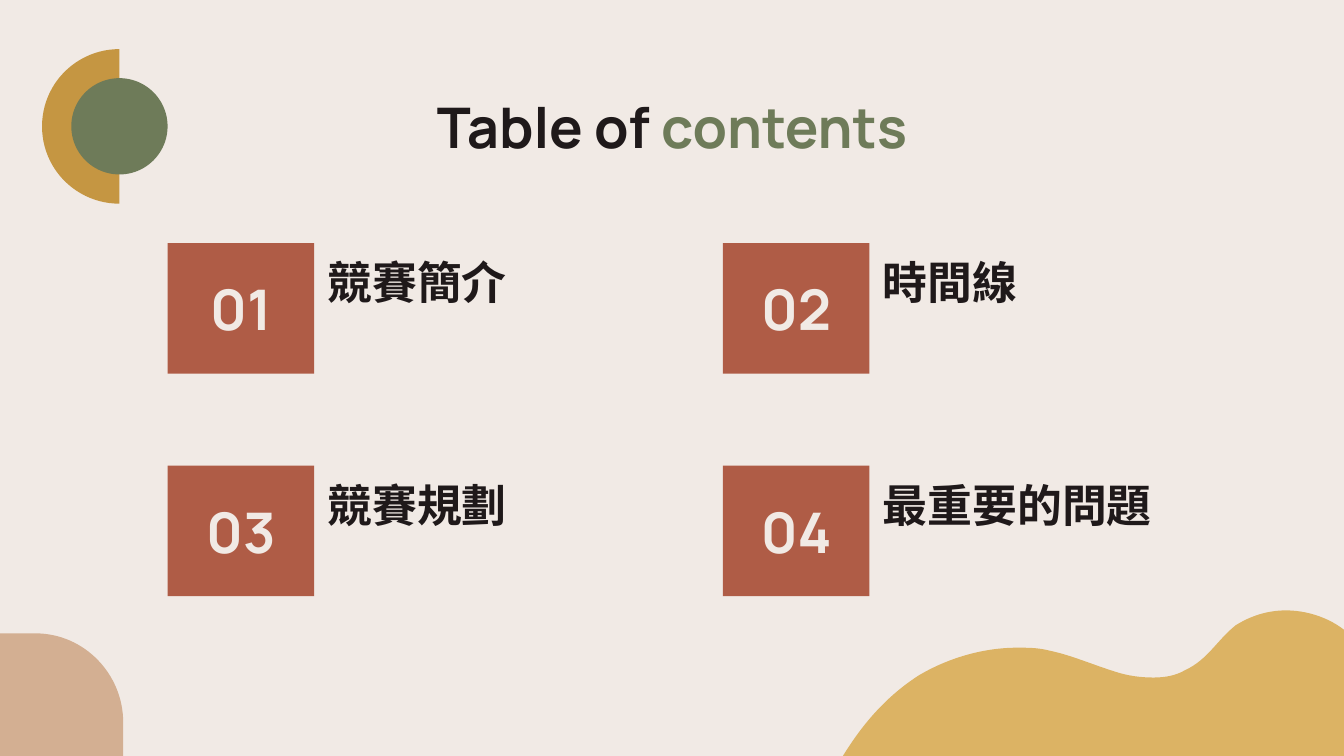
from lxml.etree import SubElement
from pptx import Presentation
from pptx.dml.color import RGBColor
from pptx.enum.shapes import MSO_SHAPE
from pptx.enum.text import MSO_ANCHOR, MSO_AUTO_SIZE, PP_ALIGN
from pptx.oxml.ns import qn
from pptx.util import Pt

CREAM, INK, GREEN, RUST = "F1EAE5", "1F191A", "6E7B59", "AF5C46"
OCHRE, GOLD, SAND = "C59642", "DCB364", "D3AF92"
LATIN, CHINESE = "Manrope", "Noto Sans CJK TC"

HEADING = [("Table of ", INK), ("contents", GREEN)]
TOPICS = ["競賽簡介", "時間線", "競賽規劃", "最重要的問題"]

GRID_LEFT, GRID_TOP = 89.8, 130.2
COLUMN_STEP, ROW_STEP = 297.5, 119.2
TILE_WIDTH, TILE_HEIGHT = 78.5, 70
TOPIC_DROP, TOPIC_WIDTH, TOPIC_HEIGHT = 7.7, 190, 34.6

HILLS = {
    "start": (448, 411),
    "curves": [
        ((459, 392), (472, 375), (492, 362)),
        ((507, 353), (526, 347), (545, 347)),
        ((551, 347), (556, 347), (562, 348.5)),
        ((574, 351), (585, 356), (598, 360)),
        ((604, 362), (611, 363), (618, 363)),
        ((624, 363), (630, 362), (635, 359)),
        ((647, 353.5), (652, 343), (662, 335)),
        ((670, 330), (679, 327), (689, 327)),
        ((703, 327), (717, 333), (725, 342)),
    ],
    "edges": [(723, 411)],
    "color": GOLD,
}
CORNER = {
    "start": (66, 387),
    "curves": [((66, 361), (45, 339.3), (19, 339.3))],
    "edges": [(-1, 339.3), (-1, 406), (66, 406)],
    "color": SAND,
}


def paint(format_part, color):
    if hasattr(format_part, "solid"):
        format_part.solid()
        format_part = format_part.fore_color
    format_part.rgb = RGBColor.from_string(color)


def finish(shape, color):
    shape.shadow.inherit = False
    paint(shape.fill, color)
    shape.line.fill.background()


def place(shape, *box):
    for side, length in zip(("left", "top", "width", "height"), box):
        setattr(shape, side, Pt(length))


def write(shape, pieces, size, font_name, anchor, align):
    frame = shape.text_frame
    frame_format = {
        "word_wrap": True,
        "auto_size": MSO_AUTO_SIZE.NONE,
        "vertical_anchor": anchor,
        **{f"margin_{side}": Pt(7.2) for side in ("left", "top", "right", "bottom")},
    }
    for key, value in frame_format.items():
        setattr(frame, key, value)
    paragraph = frame.paragraphs[0]
    properties = paragraph._p.get_or_add_pPr()
    properties.set("marL", "0")
    properties.set("indent", "0")
    SubElement(properties, qn("a:buNone"))
    for key, value in {"alignment": align, "space_before": Pt(0)}.items():
        setattr(paragraph, key, value)
    for words, color in pieces:
        run = paragraph.add_run()
        run.text = words
        for key, value in {"size": Pt(size), "bold": True, "name": font_name}.items():
            setattr(run.font, key, value)
        paint(run.font.color, color)
        SubElement(run._r.get_or_add_rPr(), qn("a:ea")).set("typeface", font_name)


def draw_outline(shapes, outline):
    points = [point for curve in outline["curves"] for point in curve] + outline["edges"]
    builder = shapes.build_freeform(*map(Pt, outline["start"]))
    builder.add_line_segments([(Pt(x), Pt(y)) for x, y in points], close=True)
    shape = builder.convert_to_shape()
    segments = list(shape._element.iter(qn("a:lnTo")))
    for number in range(len(outline["curves"])):
        first, second, third = segments[3 * number:3 * number + 3]
        first.tag = qn("a:cubicBezTo")
        for segment in (second, third):
            first.append(segment[0])
            segment.getparent().remove(segment)
    finish(shape, outline["color"])


def add_filled(shapes, kind, color, *box):
    shape = shapes.add_shape(kind, *map(Pt, box))
    finish(shape, color)
    return shape


deck = Presentation()
deck.slide_width, deck.slide_height = Pt(720), Pt(405)
slide = deck.slides.add_slide(deck.slide_layouts.get_by_name("Comparison"))
shapes = slide.shapes
paint(slide.background.fill, CREAM)

for outline in (CORNER, HILLS):
    draw_outline(shapes, outline)

heading = shapes.title
place(heading, 153.4, 42.5, 413.3, 37.4)
write(heading, HEADING, 30, LATIN, MSO_ANCHOR.TOP, PP_ALIGN.CENTER)

for index, topic in enumerate(TOPICS):
    row, column = divmod(index, 2)
    left = GRID_LEFT + column * COLUMN_STEP
    top = GRID_TOP + row * ROW_STEP
    tile = add_filled(shapes, MSO_SHAPE.RECTANGLE, RUST, left, top, TILE_WIDTH, TILE_HEIGHT)
    write(tile, [(f"{index + 1:02}", CREAM)], 30, LATIN, MSO_ANCHOR.MIDDLE, PP_ALIGN.CENTER)
    label = slide.placeholders[index + 1]
    place(label, left + TILE_WIDTH, top + TOPIC_DROP, TOPIC_WIDTH, TOPIC_HEIGHT)
    write(label, [(topic, INK)], 24, CHINESE, MSO_ANCHOR.BOTTOM, PP_ALIGN.LEFT)

half_disc = add_filled(shapes, MSO_SHAPE.CHORD, OCHRE, 22.5, 26.3, 82.8, 82.8)
half_disc.adjustments[0], half_disc.adjustments[1] = 54, 162
add_filled(shapes, MSO_SHAPE.OVAL, GREEN, 38.2, 41.9, 51.6, 51.6)

deck.save("out.pptx")
